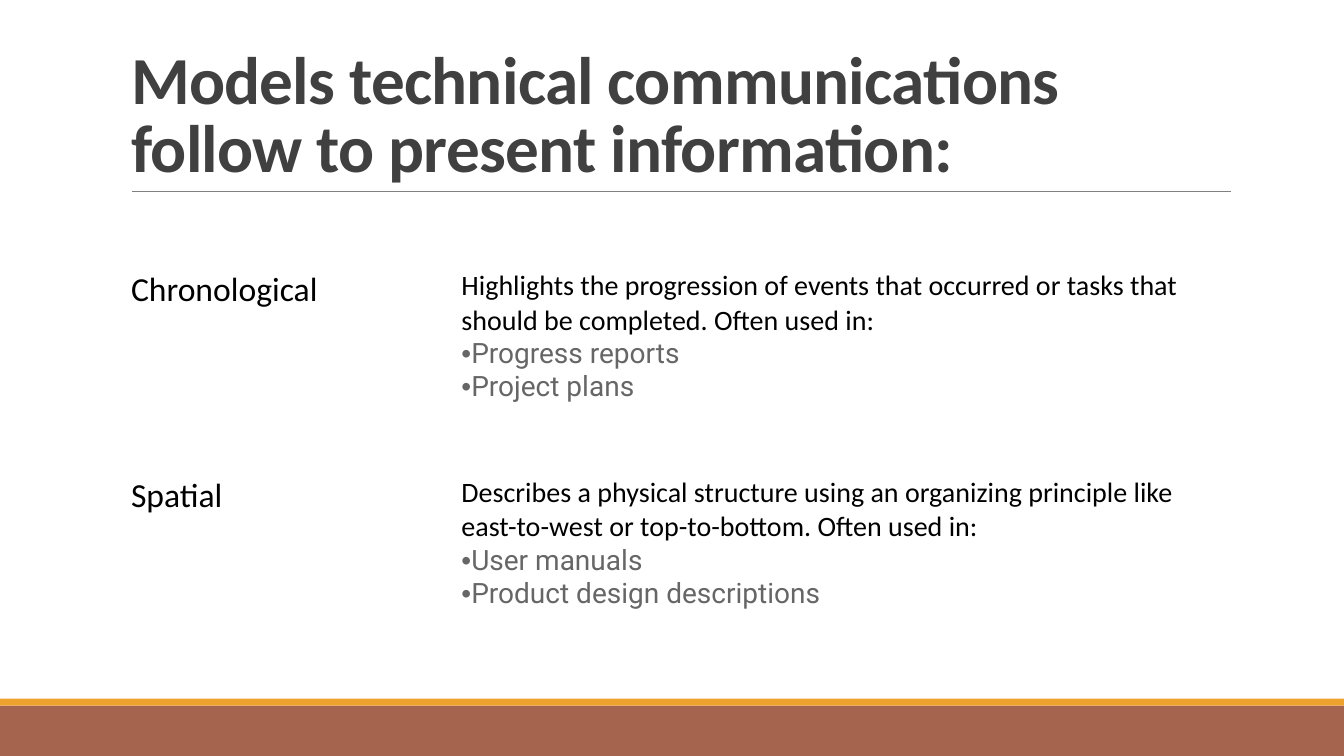
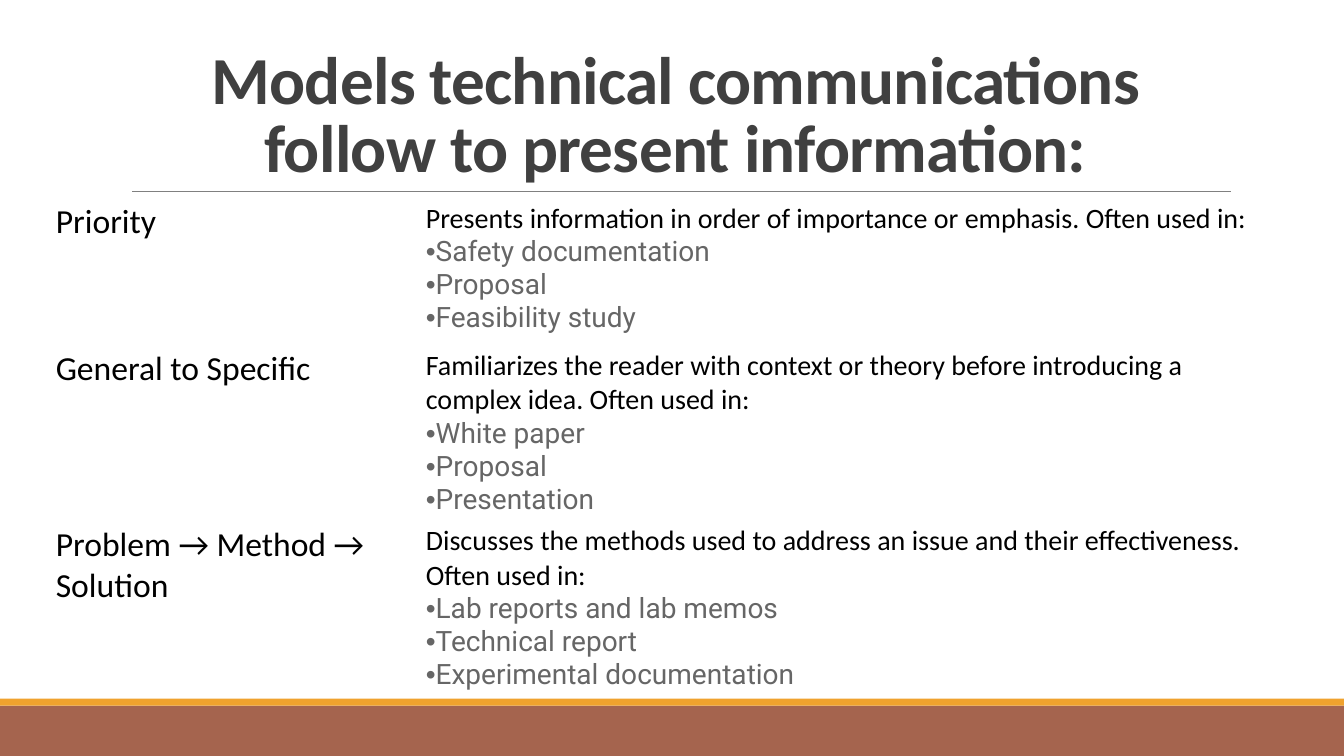
from lxml.etree import SubElement
from pptx import Presentation
from pptx.dml.color import RGBColor
from pptx.enum.shapes import MSO_CONNECTOR as Line, MSO_SHAPE as Shape
from pptx.enum.text import MSO_ANCHOR as Anchor, PP_ALIGN as Align
from pptx.oxml.ns import qn
from pptx.util import Inches, Pt

WIDTH, HEIGHT = Inches(13.33), Inches(7.5)
COLORS = {
    "paper": "FFFFFF", "title": "404040", "text": "000000", "item": "666666",
    "rule": "808080", "band": "A5644E", "stripe": "F0A22E",
}
TITLE = "Models technical communications follow to present information:"
TITLE_BOX = (9, 4.13, 82.5, 21.2)  # boxes are in percent of the slide
LABEL_SHARE = 29.8  # percent of the table's width

# Each table: left, top, width, row heights, cell margins in inches,
# and rows of label, summary, uses
FIRST_TABLE = (9, 34.93, 82.5, (27.33, 27.33), (0.1, 0.05), [
    ("Chronological",
     "Highlights the progression of events that occurred or tasks that "
     "should be completed. Often used in:",
     ["Progress reports", "Project plans"]),
    ("Spatial",
     "Describes a physical structure using an organizing principle like "
     "east-to-west or top-to-bottom. Often used in:",
     ["User manuals", "Product design descriptions"]),
])
SECOND_TABLE = (3.48, 26.13, 92.4, (19.47, 23.2, 22.4), (0.09, 0.04), [
    ("Priority",
     "Presents information in order of importance or emphasis. Often used in:",
     ["Safety documentation", "Proposal", "Feasibility study"]),
    ("General to Specific",
     "Familiarizes the reader with context or theory before introducing a "
     "complex idea. Often used in:",
     ["White paper", "Proposal", "Presentation"]),
    ("Problem → Method → Solution",
     "Discusses the methods used to address an issue and their "
     "effectiveness. Often used in:",
     ["Lab reports and lab memos", "Technical report",
      "Experimental documentation"]),
])


def across(percent):
    return round(WIDTH * percent / 100)


def down(percent):
    return round(HEIGHT * percent / 100)


def place(left, top, width, height):
    return across(left), down(top), across(width), down(height)


def color(name):
    return RGBColor.from_string(COLORS[name])


def write(para, text, size=20, tint="text", font="Calibri", bold=False,
          tracking=None, bullet=None):
    span = para.add_run()
    span.text = text
    span.font.size = Pt(size)
    span.font.name = font
    span.font.bold = bold
    span.font.color.rgb = color(tint)
    if tracking is not None:
        span.font._element.set("spc", str(round(tracking * 100)))
    if bullet:
        props = para._p.get_or_add_pPr()
        props.set("marL", "0")
        props.set("indent", "0")
        SubElement(props, qn("a:buFont")).set("typeface", "Arial")
        SubElement(props, qn("a:buChar")).set("char", bullet)


def build_frame(page, layout):
    """Draw the bands and the rule, then move them to the shared layout."""
    for holder in list(layout.placeholders)[1:]:
        holder.element.getparent().remove(holder.element)
    parts = []
    for tint, top, height in (("band", 93.33, 6.67), ("stripe", 92.4, 0.93)):
        band = page.shapes.add_shape(Shape.RECTANGLE,
                                     *place(0, top, 100, height))
        band.shadow.inherit = False
        band.fill.solid()
        band.fill.fore_color.rgb = color(tint)
        band.line.fill.background()
        parts.append(band)
    rule = page.shapes.add_connector(
        Line.STRAIGHT, across(9.83), down(25.33), across(91.56), down(25.33))
    rule.line.color.rgb = color("rule")
    rule.line.width = Pt(0.5)
    SubElement(rule.element.spPr, qn("a:effectLst"))
    for part in parts + [rule]:
        layout.shapes.element.append(part.element)


def build_title(page, box, align):
    title = page.shapes.title
    title.left, title.top, title.width, title.height = place(*box)
    frame = title.text_frame
    frame.vertical_anchor = Anchor.BOTTOM
    para = frame.paragraphs[0]
    para.alignment = align
    para.line_spacing = 0.85
    write(para, TITLE, size=48, tint="title", bold=True, tracking=-0.5)


def build_table(page, left, top, width, heights, margins, models):
    holder = page.shapes.add_table(len(models), 2,
                                   *place(left, top, width, sum(heights)))
    table = holder.table
    table.first_row = table.horz_banding = False
    side, edge = (Inches(margin) for margin in margins)
    for column, share in zip(table.columns, (LABEL_SHARE, 100 - LABEL_SHARE)):
        column.width = across(width * share / 100)
    for row, height, (label, summary, uses) in zip(table.rows, heights, models):
        row.height = down(height)
        for cell in row.cells:
            cell.fill.solid()
            cell.fill.fore_color.rgb = color("paper")
            cell.margin_top = cell.margin_bottom = edge
            cell.margin_left = cell.margin_right = side
        label_frame, model_frame = (cell.text_frame for cell in row.cells)
        write(label_frame.paragraphs[0], label, size=24)
        write(model_frame.paragraphs[0], summary)
        for use in uses:
            write(model_frame.add_paragraph(), use, tint="item",
                  font="Roboto", bullet="•")


def main():
    deck = Presentation()
    deck.slide_width, deck.slide_height = WIDTH, HEIGHT
    layout = deck.slide_layouts[5]
    pages = [(Align.LEFT, FIRST_TABLE), (Align.CENTER, SECOND_TABLE)]
    for number, (align, content) in enumerate(pages):
        page = deck.slides.add_slide(layout)
        if number == 0:
            build_frame(page, layout)
        build_title(page, TITLE_BOX, align)
        build_table(page, *content)
    deck.save("out.pptx")


if __name__ == "__main__":
    main()
